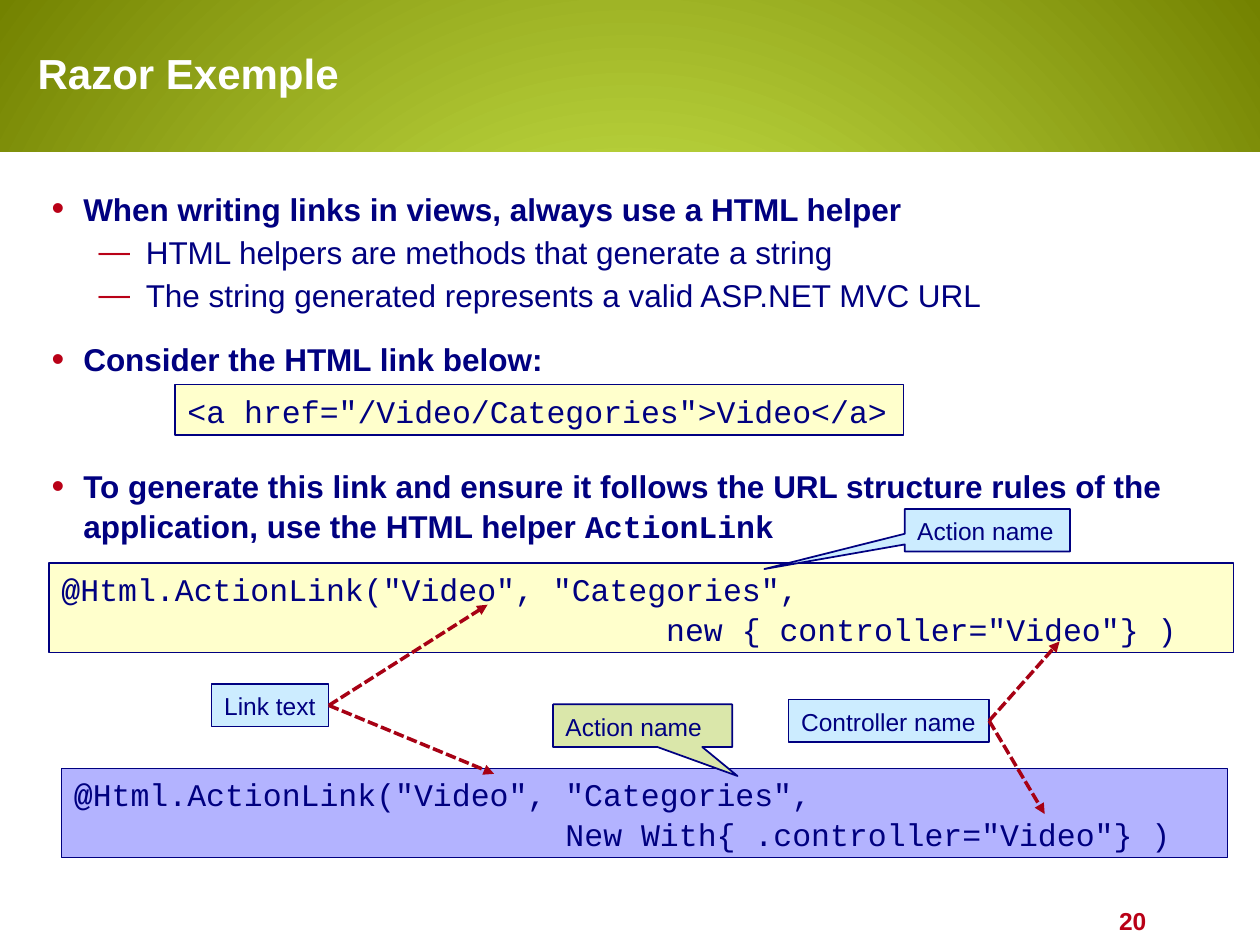
from lxml.etree import SubElement, fromstring
from pptx import Presentation
from pptx.dml.color import RGBColor
from pptx.enum.dml import MSO_LINE
from pptx.enum.shapes import MSO_CONNECTOR, MSO_SHAPE
from pptx.enum.text import MSO_ANCHOR, PP_ALIGN
from pptx.oxml.ns import nsdecls, qn
from pptx.util import Cm, Pt

WHITE = RGBColor(0xFF, 0xFF, 0xFF)
NAVY = RGBColor(0x00, 0x00, 0x80)
RED = RGBColor(0xB9, 0x01, 0x17)
ARROW_RED = RGBColor(0xA7, 0x01, 0x14)
LIME = RGBColor(0xE0, 0xFF, 0x5E)
OLIVE = RGBColor(0x73, 0x82, 0x00)
CREAM = RGBColor(0xFF, 0xFF, 0xCC)
LILAC = RGBColor(0xB3, 0xB3, 0xFF)
SKY = RGBColor(0xCC, 0xEC, 0xFF)
PALE_GREEN = RGBColor(0xDA, 0xE7, 0xAA)

LINE_SPACING = 1.05
LABEL_HEIGHT = 0.86


def format_run(run, size, color=NAVY, bold=False, font="Arial"):
    run.font.size = Pt(size)
    run.font.color.rgb = color
    run.font.bold = bold
    run.font.name = font


def add_text(slide, box, text, size, color, align=PP_ALIGN.LEFT):
    caption = slide.shapes.add_textbox(*map(Cm, box))
    frame = caption.text_frame
    frame.word_wrap = True
    frame.vertical_anchor = MSO_ANCHOR.MIDDLE
    frame.text = text
    frame.paragraphs[0].alignment = align
    run = frame.paragraphs[0].runs[0]
    format_run(run, size, color, True)
    return run


def add_panel(slide, box, fill, preset=MSO_SHAPE.RECTANGLE, line_width=0.75):
    panel = slide.shapes.add_shape(preset, *map(Cm, box))
    panel.shadow.inherit = False
    panel.fill.solid()
    panel.fill.fore_color.rgb = fill
    panel.line.color.rgb = NAVY
    panel.line.width = Pt(line_width)
    panel.text_frame.word_wrap = True
    panel.text_frame.margin_right = 0
    return panel


def fill_panel(panel, text, size, font="Arial"):
    panel.text_frame.text = text
    for paragraph in panel.text_frame.paragraphs:
        paragraph.alignment = PP_ALIGN.LEFT
        paragraph.line_spacing = LINE_SPACING
        for run in paragraph.runs:
            format_run(run, size, font=font)


def draw_background(slide):
    backdrop = slide.background.fill
    backdrop.gradient()
    for stop, color in zip(backdrop.gradient_stops, (LIME, OLIVE)):
        stop.color.rgb = color
    gradient = next(slide.background._cSld.iter(qn("a:gradFill")))
    linear = gradient.find(qn("a:lin"))
    linear.addnext(fromstring(
        f'<a:path {nsdecls("a")} path="circle">'
        '<a:fillToRect l="50000" t="50000" r="50000" b="50000"/></a:path>'))
    gradient.remove(linear)


def draw_page(slide, box):
    left, top, width, height = box
    page = add_panel(slide, box, WHITE)
    page.line.fill.background()
    add_text(slide, (left + 19.35, top + height - 0.91, 4.01, 0.84), "20", 14, RED, PP_ALIGN.RIGHT)


def draw_title(slide, box):
    title = add_text(slide, box, "Razor Exemple", 24, WHITE)
    title.font._element.find(qn("a:solidFill")).addnext(fromstring(
        f'<a:effectLst {nsdecls("a")}><a:outerShdw dist="35921" dir="2700000">'
        '<a:srgbClr val="000000"/></a:outerShdw></a:effectLst>'))


def set_bullet(paragraph, mark, margin, indent, percent):
    properties = paragraph._p.get_or_add_pPr()
    properties.set("marL", str(Cm(margin)))
    properties.set("indent", str(Cm(-indent)))
    color = SubElement(properties, qn("a:buClr"))
    SubElement(color, qn("a:srgbClr")).set("val", str(RED))
    SubElement(properties, qn("a:buSzPct")).set("val", str(percent * 1000))
    SubElement(properties, qn("a:buFont")).set("typeface", "Arial")
    SubElement(properties, qn("a:buChar")).set("char", mark)


def draw_points(slide, box):
    points = [
        (0, 0, "When writing links in views, always use a HTML helper"),
        (1, 2, "HTML helpers are methods that generate a string"),
        (1, 2, "The string generated represents a valid ASP.NET MVC URL"),
        (0, 14, "Consider the HTML link below:"),
        (0, 50, "To generate this link and ensure it follows the URL structure "
                "rules of the application, use the HTML helper "),
    ]
    left, top, width, height = box
    frame = slide.shapes.add_textbox(*map(Cm, box)).text_frame
    frame.word_wrap = True
    frame.text = "\n".join(text for _, _, text in points)
    for paragraph, (level, gap, _) in zip(frame.paragraphs, points):
        paragraph.level = level
        paragraph.line_spacing = LINE_SPACING
        paragraph.space_before = Pt(gap)
        set_bullet(paragraph, *(("—", 1.9, 0.95, 100) if level else ("•", 0.64, 0.64, 115)))
        format_run(paragraph.runs[0], 18, bold=level == 0)
    helper = frame.paragraphs[-1].add_run()
    helper.text = "ActionLink"
    format_run(helper, 18, bold=True, font="Courier New")
    link = add_panel(slide, (left + 2.74, top + 4.09, 14.68, 1.02), CREAM)
    fill_panel(link, '<a href="/Video/Categories">Video</a>', 18, "Courier New")


def draw_code(slide, box, fill, route, indent):
    code = add_panel(slide, box, fill)
    fill_panel(code, f'Html.ActionLink("Video", "Categories",\n{route}', 18, "Courier New")
    call, arguments = code.text_frame.paragraphs
    call_text = call.runs[0].text
    call.runs[0].text = "@"
    call.runs[0].font.bold = True
    rest = call.add_run()
    rest.text = call_text
    format_run(rest, 18, font="Courier New")
    arguments._p.get_or_add_pPr().set("marL", str(Cm(indent)))


def draw_arrow(slide, start, end):
    arrow = slide.shapes.add_connector(MSO_CONNECTOR.STRAIGHT, *map(Cm, start + end))
    arrow.line.color.rgb = ARROW_RED
    arrow.line.width = Pt(2)
    arrow.line.dash_style = MSO_LINE.SQUARE_DOT
    SubElement(arrow.line._get_or_add_ln(), qn("a:tailEnd")).set("type", "triangle")
    SubElement(arrow._element.spPr, qn("a:effectLst"))


def draw_annotations(slide, left, top):
    labels = [
        ("Link text", 3.28, 3.53, 2.36, [(8.84, 1.93), (8.97, 5.34)]),
        ("Controller name", 14.91, 3.84, 4.04, [(20.07, 6.15), (20.37, 2.67)]),
    ]
    callouts = [
        (17.25, 0, 3.33, SKY, (-1.35, 0.91)),
        (10.16, 3.94, 3.61, PALE_GREEN, (0.53, 1.18)),
    ]
    for text, x, y, width, targets in labels:
        label = add_panel(slide, (left + x, top + y, width, LABEL_HEIGHT), SKY)
        fill_panel(label, text, 14)
        start = (left + x + width, top + y + LABEL_HEIGHT / 2)
        for target_x, target_y in targets:
            draw_arrow(slide, start, (left + target_x, top + target_y))
    for x, y, width, fill, pointer in callouts:
        callout = add_panel(slide, (left + x, top + y, width, LABEL_HEIGHT), fill,
                            MSO_SHAPE.RECTANGULAR_CALLOUT, 1)
        callout.adjustments[0], callout.adjustments[1] = pointer
        fill_panel(callout, "Action name", 14)


def main():
    deck = Presentation()
    deck.slide_width, deck.slide_height = Cm(25.4), Cm(19.05)
    slide = deck.slides.add_slide(deck.slide_layouts[6])
    draw_background(slide)
    draw_page(slide, (0, 3.07, 25.4, 15.98))
    draw_title(slide, (0.51, 0.46, 21.64, 2.01))
    draw_points(slide, (0.79, 3.66, 23.88, 7.29))
    draw_code(slide, (0.99, 11.35, 23.88, 1.8), CREAM, 'new { controller="Video"} )', 12.19)
    draw_code(slide, (1.24, 15.49, 23.5, 1.8), LILAC, 'New With{ .controller="Video"} )', 9.91)
    draw_annotations(slide, 0.99, 10.26)
    deck.save("out.pptx")


if __name__ == "__main__":
    main()
